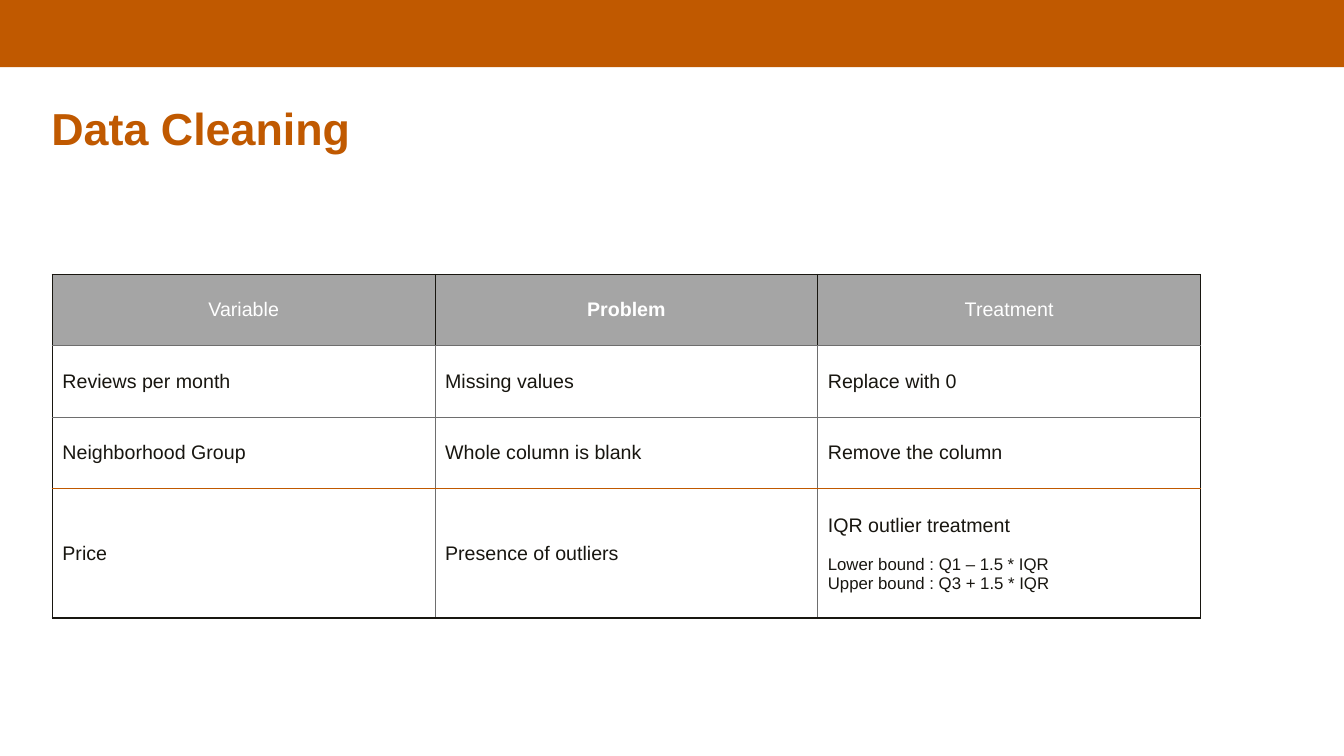
import dataclasses

import lxml.etree
import pptx
import pptx.dml.color
import pptx.enum.shapes
import pptx.enum.text
import pptx.oxml.ns
import pptx.util

Pt = pptx.util.Pt
ALIGN = pptx.enum.text.PP_ALIGN
ANCHOR = pptx.enum.text.MSO_ANCHOR


@dataclasses.dataclass(frozen=True)
class Theme:
    font: str = "Arial"
    accent: str = "C05900"
    header: str = "A5A5A5"
    ink: str = "181610"
    rule: str = "6E6E6E"
    paper: str = "FFFFFF"
    title_size: float = 32
    cell_size: float = 14
    detail_size: float = 12


THEME = Theme()
COLUMN_WIDTH = 273.4
ROW_HEIGHTS = [51.1, 51.1, 51.1, 92.2]
HEADERS = ["Variable", "Problem", "Treatment"]
ROWS = [
    ["Reviews per month", "Missing values", "Replace with 0"],
    ["Neighborhood Group", "Whole column is blank", "Remove the column"],
    ["Price", "Presence of outliers", "IQR outlier treatment"],
]
BOUNDS = ["Lower bound : Q1 – 1.5 * IQR", "Upper bound : Q3 + 1.5 * IQR"]


def rgb(color):
    return pptx.dml.color.RGBColor.from_string(color)


def set_fill(target, color):
    target.fill.solid()
    target.fill.fore_color.rgb = rgb(color)


def write(p, text, *, size=THEME.cell_size, color=THEME.ink, bold=False,
          align=ALIGN.LEFT, before=0, spacing=1.0):
    p.alignment = align
    p.space_before = Pt(before)
    p.line_spacing = spacing
    r = p.add_run()
    r.text = text
    r.font.name = THEME.font
    r.font.size = Pt(size)
    r.font.bold = bold
    r.font.color.rgb = rgb(color)


def add_band(s, width, height):
    band = s.shapes.add_shape(pptx.enum.shapes.MSO_SHAPE.RECTANGLE,
                              0, 0, width, height)
    band.shadow.inherit = False
    set_fill(band, THEME.accent)
    band.line.fill.background()


def set_title(s, text):
    sp = s.shapes.title
    sp.left, sp.top, sp.width, sp.height = Pt(29.5), Pt(72.7), Pt(828), Pt(104.4)
    tf = sp.text_frame
    tf.word_wrap = True
    tf.auto_size = pptx.enum.text.MSO_AUTO_SIZE.NONE
    tf.vertical_anchor = ANCHOR.TOP
    write(tf.paragraphs[0], text, size=THEME.title_size, color=THEME.accent,
          bold=True, spacing=0.9)


def set_borders(cell, borders):
    tc_pr = cell._tc.get_or_add_tcPr()
    for i, (side, (color, width)) in enumerate(borders.items()):
        ln = lxml.etree.Element(pptx.oxml.ns.qn(f"a:ln{side}"), w=str(Pt(width)))
        fill = lxml.etree.SubElement(ln, pptx.oxml.ns.qn("a:solidFill"))
        lxml.etree.SubElement(fill, pptx.oxml.ns.qn("a:srgbClr"), val=color)
        tc_pr.insert(i, ln)


def vertical_rule(row, edge):
    if edge in (0, len(HEADERS)):
        return THEME.ink, 1
    return (THEME.ink if row == 0 else THEME.rule), 0.75


def horizontal_rule(edge):
    if edge in (0, len(ROW_HEIGHTS)):
        return THEME.ink, 1
    return (THEME.accent if edge == len(ROWS) else THEME.rule), 0.75


def add_table(s, left, top):
    grid = [HEADERS] + ROWS
    table = s.shapes.add_table(
        len(grid), len(HEADERS), left, top,
        Pt(COLUMN_WIDTH * len(HEADERS)), Pt(sum(ROW_HEIGHTS))).table
    table.horz_banding = False
    for column in table.columns:
        column.width = Pt(COLUMN_WIDTH)
    for i, texts in enumerate(grid):
        table.rows[i].height = Pt(ROW_HEIGHTS[i])
        for j, text in enumerate(texts):
            cell = table.cell(i, j)
            cell.vertical_anchor = ANCHOR.MIDDLE
            set_fill(cell, THEME.paper if i else THEME.header)
            set_borders(cell, {
                "L": vertical_rule(i, j), "R": vertical_rule(i, j + 1),
                "T": horizontal_rule(i), "B": horizontal_rule(i + 1)})
            p = cell.text_frame.paragraphs[0]
            if i:
                write(p, text)
            else:
                write(p, text, color=THEME.paper, bold=text == "Problem",
                      align=ALIGN.CENTER)
    return table


def add_details(cell, lines):
    for i, line in enumerate(lines):
        write(cell.text_frame.add_paragraph(), line, size=THEME.detail_size,
              before=0 if i else 13.5)


def main():
    prs = pptx.Presentation()
    prs.slide_width, prs.slide_height = Pt(960), Pt(540)
    s = prs.slides.add_slide(prs.slide_layouts[5])
    add_band(s, prs.slide_width, Pt(48))
    set_title(s, "Data Cleaning")
    table = add_table(s, Pt(37.4), Pt(196))
    add_details(table.cell(len(ROWS), len(HEADERS) - 1), BOUNDS)
    prs.save("out.pptx")


if __name__ == "__main__":
    main()
